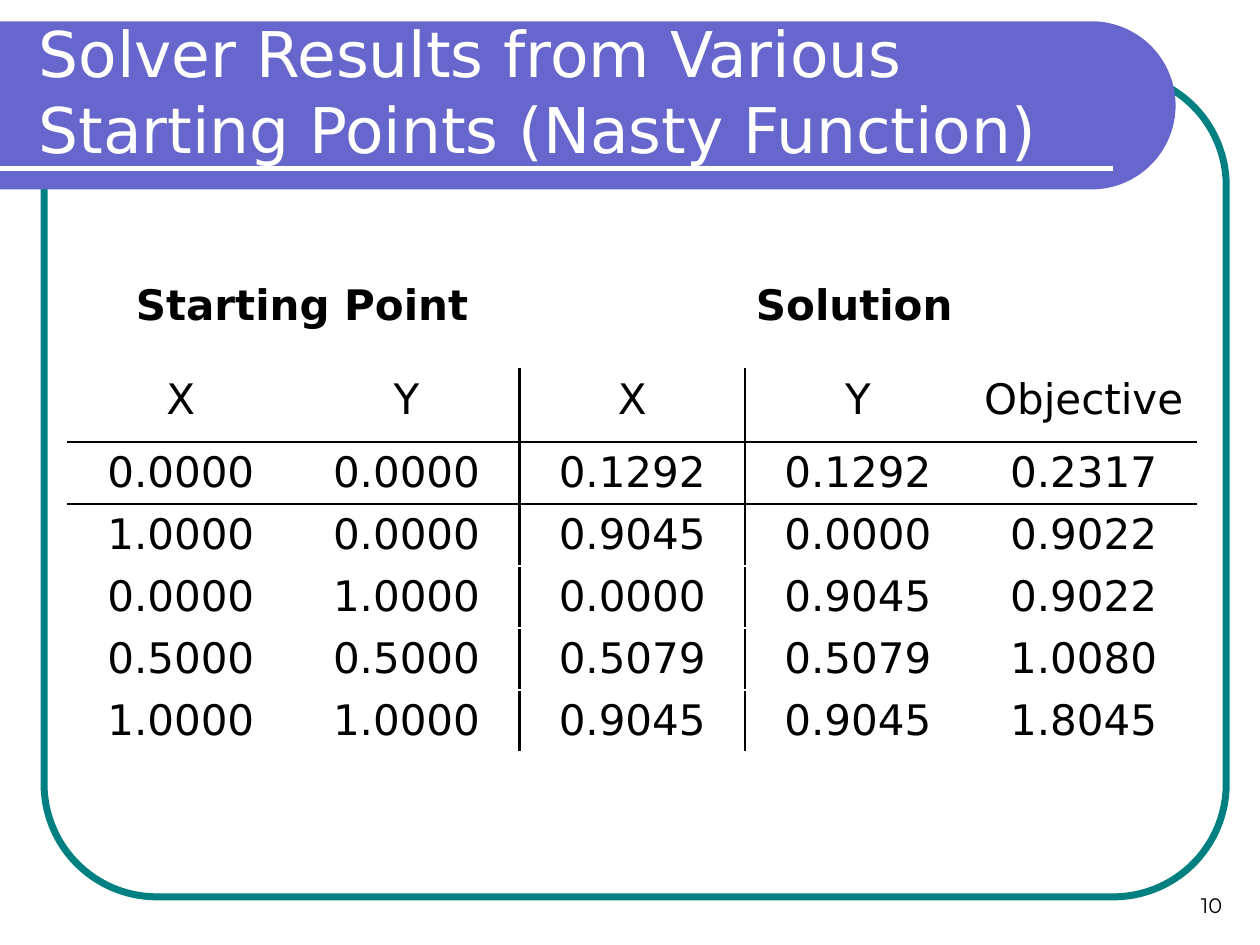
"""Build the slide of solver results from various starting points."""
from dataclasses import dataclass
from math import cos, pi, sin

from lxml.etree import SubElement
from pptx import Presentation
from pptx.dml.color import RGBColor
from pptx.enum.shapes import MSO_CONNECTOR, MSO_SHAPE
from pptx.enum.text import MSO_ANCHOR, MSO_AUTO_SIZE, PP_ALIGN
from pptx.oxml.ns import qn
from pptx.util import Cm, Pt


@dataclass(frozen=True)
class Theme:
    teal: str = "008080"
    violet: str = "6666CC"
    white: str = "FFFFFF"
    black: str = "000000"
    font: str = "DejaVu Sans"
    number_font: str = "Montserrat"
    title_size: int = 36
    body_size: int = 24
    number_size: int = 12


class SlideBuilder:
    def __init__(self, slide, theme):
        self.s = slide
        self.theme = theme

    def run(self, p, text, size, color, font=None, bold=False):
        r = p.add_run()
        r.text = text
        r.font.name = font or self.theme.font
        r.font.size = Pt(size)
        r.font.bold = bold
        r.font.color.rgb = RGBColor.from_string(color)

    def frame(self, left, top, width, height, radius, color, weight):
        sp = self.s.shapes.add_shape(MSO_SHAPE.ROUNDED_RECTANGLE, Cm(left), Cm(top), Cm(width), Cm(height))
        sp.adjustments[0] = radius
        sp.shadow.inherit = False
        sp.fill.background()
        sp.line.color.rgb = RGBColor.from_string(color)
        sp.line.width = Pt(weight)

    def band(self, top, width, height, color, steps=60):
        radius = height / 2
        angles = [pi * i / steps - pi / 2 for i in range(steps + 1)]
        arc = [(Cm(width - radius + radius * cos(a)), Cm(top + radius + radius * sin(a))) for a in angles]
        builder = self.s.shapes.build_freeform(Cm(0), Cm(top))
        builder.add_line_segments(arc + [(Cm(0), Cm(top + height))], close=True)
        sp = builder.convert_to_shape()
        sp.shadow.inherit = False
        sp.fill.solid()
        sp.fill.fore_color.rgb = RGBColor.from_string(color)
        sp.line.fill.background()

    def rule(self, x1, x2, y, color, weight):
        line = self.s.shapes.add_connector(MSO_CONNECTOR.STRAIGHT, Cm(x1), Cm(y), Cm(x2), Cm(y))
        line.line.color.rgb = RGBColor.from_string(color)
        line.line.width = Pt(weight)
        SubElement(line._element.spPr, qn("a:effectLst"))

    def text(self, left, top, width, height, text, size, color, font=None, bold=False,
             align=PP_ALIGN.LEFT, anchor=MSO_ANCHOR.TOP, grow=False):
        tf = self.s.shapes.add_textbox(Cm(left), Cm(top), Cm(width), Cm(height)).text_frame
        tf.word_wrap = True
        tf.vertical_anchor = anchor
        tf.auto_size = MSO_AUTO_SIZE.SHAPE_TO_FIT_TEXT if grow else MSO_AUTO_SIZE.NONE
        p = tf.paragraphs[0]
        p.alignment = align
        self.run(p, text, size, color, font, bold)

    def border(self, cell, sides, weight):
        for side in sides:
            ln = SubElement(cell._tc.get_or_add_tcPr(), qn(f"a:ln{side}"), w=str(Pt(weight)))
            fill = SubElement(ln, qn("a:solidFill"))
            SubElement(fill, qn("a:srgbClr"), val=self.theme.black)

    def table(self, left, top, col_width, head_height, row_height, rows, split, weight):
        heights = [head_height] + [row_height] * (len(rows) - 1)
        cols = len(rows[0])
        table = self.s.shapes.add_table(len(rows), cols, Cm(left), Cm(top),
                                        Cm(col_width * cols), Cm(sum(heights))).table
        table.first_row = table.horz_banding = False
        for col in table.columns:
            col.width = Cm(col_width)
        for i, values in enumerate(rows):
            table.rows[i].height = Cm(heights[i])
            for j, value in enumerate(values):
                cell = table.cell(i, j)
                sides = {"L": j == split, "R": j == split - 1, "T": i == 1, "B": i == 0}
                self.border(cell, [side for side, drawn in sides.items() if drawn], weight)
                cell.fill.background()
                p = cell.text_frame.paragraphs[0]
                p.alignment = PP_ALIGN.CENTER
                self.run(p, value, self.theme.body_size, self.theme.black)


RESULTS = [
    ("X", "Y", "X", "Y", "Objective"),
    ("0.0000", "0.0000", "0.1292", "0.1292", "0.2317"),
    ("1.0000", "0.0000", "0.9045", "0.0000", "0.9022"),
    ("0.0000", "1.0000", "0.0000", "0.9045", "0.9022"),
    ("0.5000", "0.5000", "0.5079", "0.5079", "1.0080"),
    ("1.0000", "1.0000", "0.9045", "0.9045", "1.8045"),
]
HEADINGS = [("Starting Point", 2.49, 7.32), ("Solution", 14.99, 4.67)]


def main():
    theme = Theme()
    prs = Presentation()
    prs.slide_width, prs.slide_height = Cm(25.4), Cm(19.05)
    s = SlideBuilder(prs.slides.add_slide(prs.slide_layouts[6]), theme)

    s.frame(0.89, 1.47, 23.83, 16.61, 0.137, theme.teal, 4)
    s.band(0.43, 23.7, 3.39, theme.violet)
    s.rule(0, 22.43, 3.39, theme.white, 3)
    s.text(18.97, 17.35, 5.92, 1.27, "10", theme.number_size, theme.black,
           font=theme.number_font, align=PP_ALIGN.RIGHT, anchor=MSO_ANCHOR.BOTTOM)
    s.text(0.53, 0.23, 22.66, 3.18, "Solver Results from Various Starting Points (Nasty Function)",
           theme.title_size, theme.white, anchor=MSO_ANCHOR.MIDDLE)
    s.table(1.37, 7.44, 4.55, 1.47, 1.25, RESULTS, split=2, weight=1.5)
    for heading, left, width in HEADINGS:
        s.text(left, 5.49, width, 1.27, heading, theme.body_size, theme.black, bold=True, grow=True)

    prs.save("out.pptx")


main()
